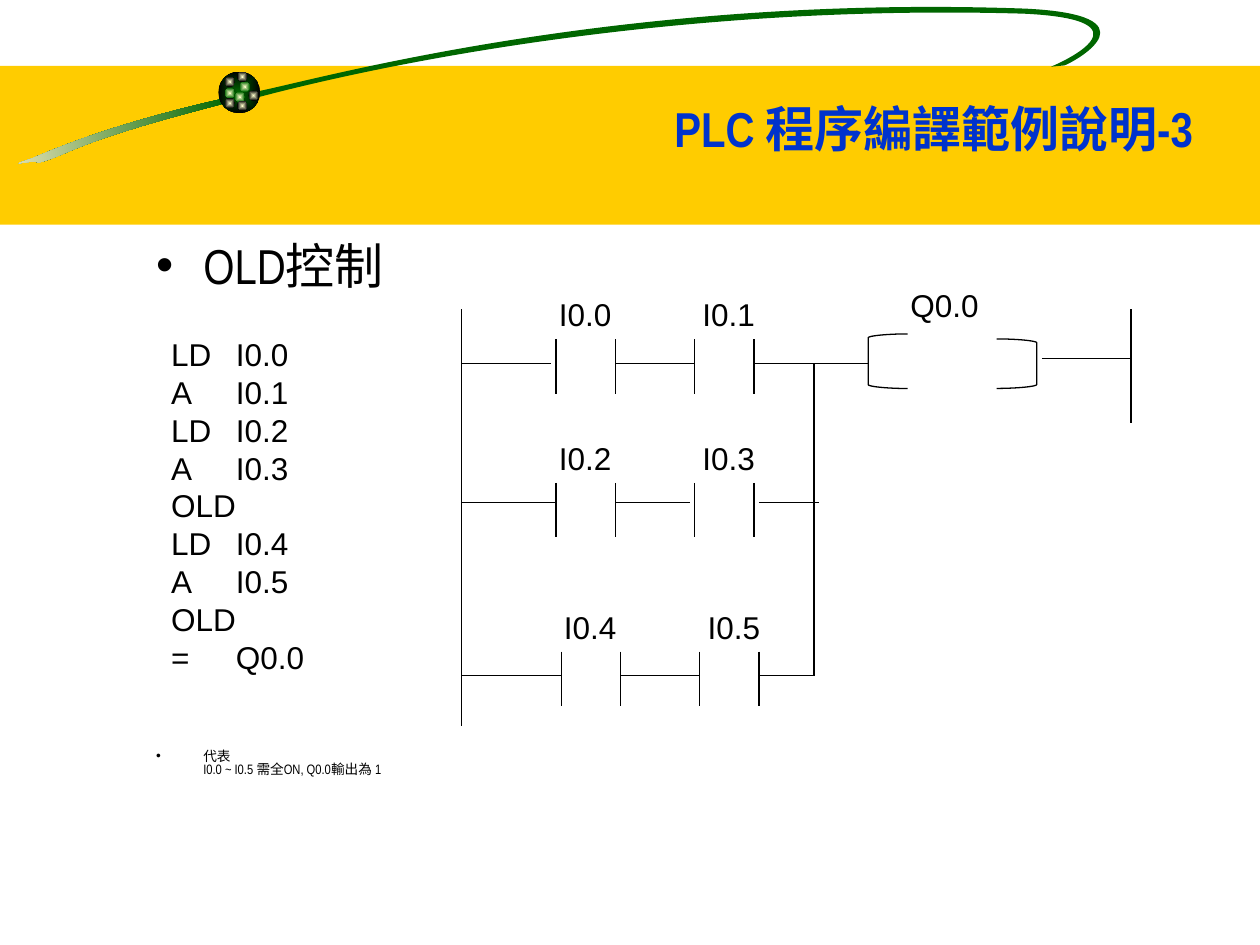
import math

from lxml import etree
from pptx import Presentation
from pptx.dml.color import RGBColor
from pptx.enum import shapes, text
from pptx.oxml import ns
from pptx.util import Pt

COLORS = {
    "band": "FFCC00",
    "green": "006600",
    "cream": "F5EBC1",
    "glow": "FFFFCC",
    "title": "0033CC",
    "black": "000000",
}


def rgb(name):
    return RGBColor.from_string(COLORS[name])


def add_preset(slide, kind, x, y, w, h):
    preset = slide.shapes.add_shape(kind, Pt(x), Pt(y), Pt(w), Pt(h))
    preset.shadow.inherit = False
    preset.line.fill.background()
    return preset


def fill_gradient(fill, start, end, radial=False):
    fill.gradient()
    fill.gradient_angle = 180
    for stop, name in zip(fill.gradient_stops, (start, end)):
        stop.color.rgb = rgb(name)
    if radial:
        linear = fill._xPr.find(".//" + ns.qn("a:lin"))
        gradient = linear.getparent()
        gradient.remove(linear)
        center = etree.SubElement(gradient, ns.qn("a:path"))
        center.set("path", "rect")
        to_rect = etree.SubElement(center, ns.qn("a:fillToRect"))
        for side in "ltrb":
            to_rect.set(side, "50000")


def turn(x, y, degrees):
    cos, sin = math.cos(math.radians(degrees)), math.sin(math.radians(degrees))
    return x * cos - y * sin, x * sin + y * cos


def add_outline(slide, x, y, start, pieces, close=False, rotation=0):
    points = [start] + [point for piece in pieces for point in piece]
    corners = [turn(Pt(x + px), Pt(y + py), -rotation) for px, py in points]
    builder = slide.shapes.build_freeform(*corners[0], scale=1.0)
    builder.add_line_segments(corners[1:], close=close)
    outline = builder.convert_to_shape()
    outline.shadow.inherit = False
    segments = iter(outline._element.findall(".//" + ns.qn("a:lnTo")))
    for piece in pieces:
        first, *rest = [next(segments) for _ in piece]
        if rest:
            first.tag = ns.qn("a:cubicBezTo")
        for segment in rest:
            first.append(segment[0])
            segment.getparent().remove(segment)
    half_w, half_h = outline.width / 2, outline.height / 2
    center_x, center_y = turn(outline.left + half_w, outline.top + half_h, rotation)
    outline.left, outline.top = round(center_x - half_w), round(center_y - half_h)
    outline.rotation = rotation
    return outline


def add_line(slide, x1, y1, x2, y2):
    line = slide.shapes.add_connector(
        shapes.MSO_CONNECTOR.STRAIGHT, Pt(x1), Pt(y1), Pt(x2), Pt(y2))
    line.line.color.rgb = rgb("black")
    line.line.width = Pt(0.75)
    etree.SubElement(line._element.spPr, ns.qn("a:effectLst"))


def add_text(slide, x, y, w, h, lines, size=18, font="Arial", color="black", bold=False,
             align=text.PP_ALIGN.LEFT, anchor=text.MSO_ANCHOR.TOP, spacing=None,
             bullet=False, tab=None):
    frame = slide.shapes.add_textbox(Pt(x), Pt(y), Pt(w), Pt(h)).text_frame
    frame.word_wrap = True
    frame.vertical_anchor = anchor
    frame.text = lines
    for paragraph in frame.paragraphs:
        paragraph.alignment = align
        paragraph.line_spacing = spacing
        properties = paragraph._p.get_or_add_pPr()
        if bullet:
            properties.set("marL", str(Pt(27)))
            properties.set("indent", str(-Pt(27)))
            etree.SubElement(properties, ns.qn("a:buFont")).set("typeface", "Arial")
            etree.SubElement(properties, ns.qn("a:buChar")).set("char", "•")
        if tab:
            tabs = etree.SubElement(properties, ns.qn("a:tabLst"))
            stop = etree.SubElement(tabs, ns.qn("a:tab"))
            stop.set("pos", str(Pt(tab)))
            stop.set("algn", "l")
        for run in paragraph.runs:
            run.font.size = Pt(size)
            run.font.name = font
            run.font.bold = bold
            run.font.color.rgb = rgb(color)


def add_globe(slide, x, y, size):
    globe = add_preset(slide, shapes.MSO_SHAPE.OVAL, x, y, size, size)
    fill_gradient(globe.fill, "green", "black", radial=True)
    lights = [
        (12.2, 5.8, "green"), (3.6, 2.9, "black"), (3.6, 9.4, "green"),
        (9.3, 11.6, "green"), (17.2, 10.8, "black"), (10.8, 16.6, "black"),
        (3.6, 15.2, "black"), (10.8, 0, "black"),
    ]
    for dx, dy, edge in lights:
        light = add_preset(slide, shapes.MSO_SHAPE.OVAL, x + dx, y + dy, 5.8, 5.8)
        fill_gradient(light.fill, "glow", edge, radial=True)


def add_banner(slide, x, y, w, h):
    band = add_preset(slide, shapes.MSO_SHAPE.RECTANGLE, x, y + 37.6, w, h - 37.6)
    band.fill.solid()
    band.fill.fore_color.rgb = rgb("band")
    tail = add_outline(slide, x, y, (128.2, 56.2), [
        ((65.5, 70.6), (35.3, 83.5), (18, 90.7)),
        ((0.7, 96.5), (18.7, 90.7), (22.3, 92.9)),
        ((41, 87.8), (41, 81.4), (128.9, 59)),
    ], close=True, rotation=-8.5)
    fill_gradient(tail.fill, "green", "cream")
    orbit = add_outline(slide, x, y, (145.4, 52.6), [
        ((177.1, 46.8), (349.9, -3.6), (586.1, 5)),
        ((660.2, 8.6), (617, 33.8), (608.4, 37.4)),
        [(600.5, 38.2)],
        ((607.7, 35.3), (659.5, 11.5), (585.4, 7.9)),
        ((394.6, 2.2), (230.4, 33.8), (148.3, 55.4)),
    ], close=True, rotation=-8.5)
    orbit.fill.solid()
    orbit.fill.fore_color.rgb = rgb("green")
    for swoosh in (tail, orbit):
        swoosh.line.fill.background()
    add_globe(slide, x + 124.8, y + 40.9, 23.8)
    add_text(slide, x + 25.6, y + 43.2, 663.1, 50.4, "PLC 程序編譯範例說明-3", size=28,
             font="Arial Narrow", color="title", bold=True,
             align=text.PP_ALIGN.RIGHT, anchor=text.MSO_ANCHOR.BOTTOM)


def add_instructions(slide, x, y, w):
    add_text(slide, x, y, w, 44.6, "OLD控制", size=28, font="Arial Narrow", bullet=True)
    program = ["LD\tI0.0", "A\tI0.1", "LD\tI0.2", "A\tI0.3", "OLD",
               "LD\tI0.4", "A\tI0.5", "OLD", "=\tQ0.0"]
    add_text(slide, x + 8.6, y + 56.9, 147.6, 201.6, "\n".join(program), tab=37)
    add_text(slide, x, y + 294.7, w, 31, "代表\vI0.0 ~ I0.5 需全ON, Q0.0輸出為 1",
             size=7.8, font="Arial Narrow", spacing=0.8, bullet=True)


def add_contact(slide, x, top, width):
    for bar_x in (x, x + width):
        add_line(slide, bar_x, top, bar_x, top + 31)


def add_coil_side(slide, x, y, tip, back, top, bottom):
    middle = (tip + back) / 2
    side = add_outline(slide, x, y, (tip, top), [
        ((middle, top), (back, top + 1.1), (back, top + 2.2)),
        [(back, bottom - 2.2)],
        ((back, bottom - 1.1), (middle, bottom), (tip, bottom)),
    ])
    side.fill.background()
    side.line.color.rgb = rgb("black")
    side.line.width = Pt(0.75)


def add_ladder(slide, x, y, w, h):
    contact_width, contact_pitch, label_pitch, bus = 33.8, 79.2, 82.1, 201.4
    add_line(slide, x, y + 16.4, x, y + h)
    rungs = [
        (54, 33.7, 47.4, ("I0.0", "I0.1"), [(0, 51.1), (87.8, 133.2), (167, 232.3)]),
        (54, 115.8, 127.1, ("I0.2", "I0.3"), [(0, 54), (87.8, 130.3), (169.9, 204.2)]),
        (56.9, 212.2, 225.9, ("I0.4", "I0.5"), [(0, 56.9), (90.7, 136.1), (169.9, bus)]),
    ]
    for first, top, wire_y, labels, wires in rungs:
        for index, label in enumerate(labels):
            add_contact(slide, x + first + index * contact_pitch, y + top, contact_width)
            add_text(slide, x + first - 17.3 + index * label_pitch, y + top - 28.6,
                     67.7, 28.8, label, align=text.PP_ALIGN.CENTER)
        for start, end in wires:
            add_line(slide, x + start, y + wire_y, x + end, y + wire_y)
    add_line(slide, x + bus, y + rungs[0][2], x + bus, y + rungs[-1][2])
    add_coil_side(slide, x, y, 254.9, 232.3, 30.6, 61.8)
    add_coil_side(slide, x, y, 305.8, 328.7, 33.5, 61.8)
    add_text(slide, x + 249.4, y - 0.2, 67.7, 28.8, "Q0.0")
    add_line(slide, x + 331.6, y + 44.8, x + w, y + 44.8)
    add_line(slide, x + w, y + 16.4, x + w, y + 81.8)


def main():
    deck = Presentation()
    deck.slide_width, deck.slide_height = Pt(720), Pt(540)
    slide = deck.slides.add_slide(deck.slide_layouts[6])
    add_banner(slide, 0, 0, 720, 128.4)
    add_instructions(slide, 82.1, 131.1, 607.7)
    add_ladder(slide, 263.8, 160.2, 382.5, 254.5)
    deck.save("out.pptx")


if __name__ == "__main__":
    main()
